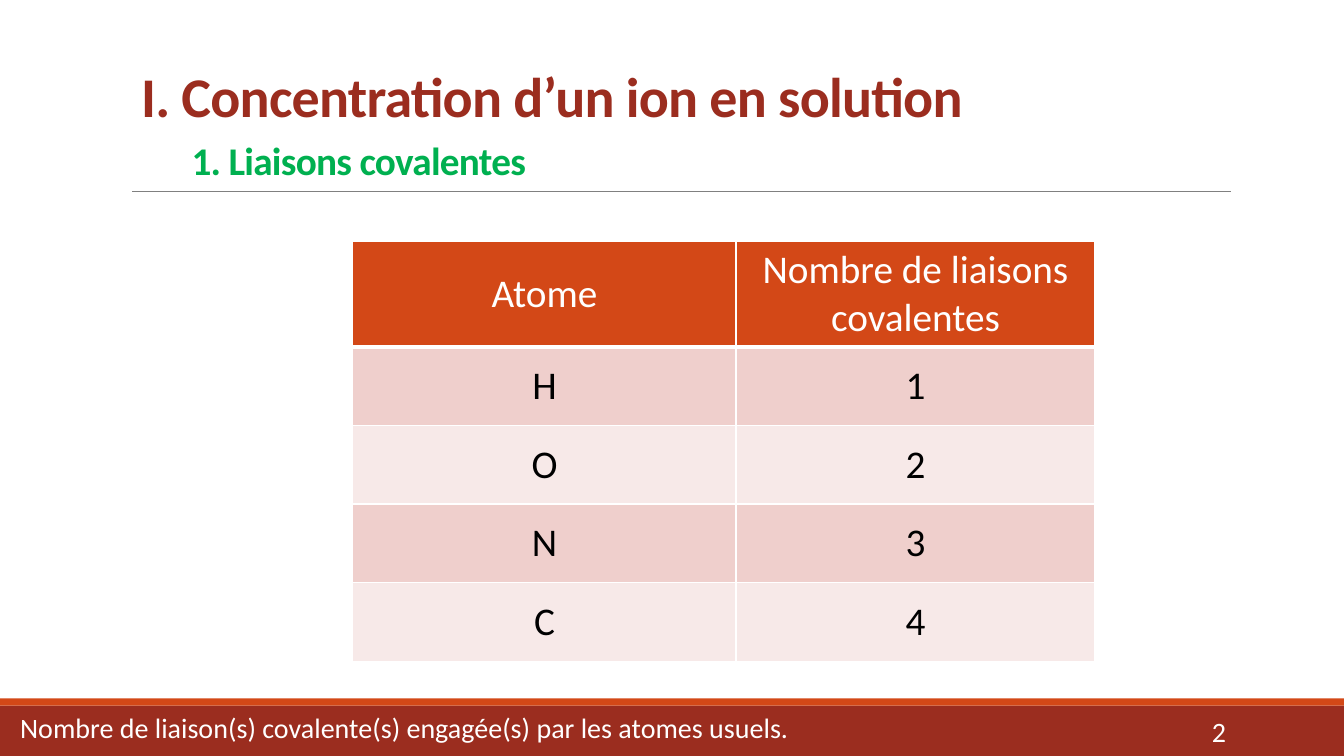
from dataclasses import dataclass

from lxml import etree
from pptx import Presentation
from pptx.dml.color import RGBColor
from pptx.enum.shapes import MSO_CONNECTOR, MSO_SHAPE
from pptx.enum.text import MSO_ANCHOR, MSO_AUTO_SIZE, PP_ALIGN
from pptx.oxml.ns import qn
from pptx.util import Inches, Pt

RECTANGLE = MSO_SHAPE.RECTANGLE
STRAIGHT = MSO_CONNECTOR.STRAIGHT
TOP, MIDDLE, BOTTOM = MSO_ANCHOR.TOP, MSO_ANCHOR.MIDDLE, MSO_ANCHOR.BOTTOM
LEFT, CENTER, RIGHT = PP_ALIGN.LEFT, PP_ALIGN.CENTER, PP_ALIGN.RIGHT
NO_AUTOFIT = MSO_AUTO_SIZE.NONE

FONT = "Calibri"
COLORS = {
    "brick": "9B2D1F",
    "orange": "D34817",
    "green": "00B050",
    "gray": "808080",
    "white": "FFFFFF",
    "black": "000000",
    "band_dark": "EFCFCC",
    "band_light": "F7E9E8",
}
PAGE_WIDTH, PAGE_HEIGHT = 13.33, 7.5
COLUMN_WIDTHS = (3.8, 3.56)
HEADER_HEIGHT, ROW_HEIGHT = 1.05, 0.78
ROWS = (
    ("Atome", "Nombre de liaisons covalentes"),
    ("H", "1"),
    ("O", "2"),
    ("N", "3"),
    ("C", "4"),
)


@dataclass(frozen=True)
class Area:
    left: float
    top: float
    width: float
    height: float

    def lengths(self) -> tuple:
        return tuple(Inches(n) for n in (self.left, self.top, self.width, self.height))


@dataclass(frozen=True)
class Band:
    area: Area
    color: str


@dataclass(frozen=True)
class Style:
    size: float
    color: str
    bold: bool = False
    spacing: int = 0


FOOTER_BANDS = (
    Band(Area(0, 7, PAGE_WIDTH, 0.5), "brick"),
    Band(Area(0, 6.93, PAGE_WIDTH, 0.07), "orange"),
)


def rgb(name: str) -> RGBColor:
    return RGBColor.from_string(COLORS[name])


def add_span(para, text: str, style: Style) -> None:
    span = para.add_run()
    span.text = text
    span.font.name = FONT
    span.font.size = Pt(style.size)
    span.font.bold = style.bold
    span.font.color.rgb = rgb(style.color)
    if style.spacing:
        span.font._element.set("spc", str(style.spacing))


def prepare_text(box, area: Area, anchor, align):
    """Place a text shape and return its first paragraph."""
    box.left, box.top, box.width, box.height = area.lengths()
    frame = box.text_frame
    frame.word_wrap = True
    frame.auto_size = NO_AUTOFIT
    frame.vertical_anchor = anchor
    para = frame.paragraphs[0]
    para.alignment = align
    return para


def add_band(page, band: Band) -> None:
    shape = page.shapes.add_shape(RECTANGLE, *band.area.lengths())
    shape.shadow.inherit = False
    shape.fill.solid()
    shape.fill.fore_color.rgb = rgb(band.color)
    shape.line.fill.background()


def add_rule(page) -> None:
    rule = page.shapes.add_connector(
        STRAIGHT, Inches(1.31), Inches(1.9), Inches(12.21), Inches(1.9))
    rule.line.color.rgb = rgb("gray")
    rule.line.width = Pt(0.5)
    etree.SubElement(rule._element.spPr, qn("a:effectLst"))


def set_borders(cell, bottom_width: float) -> None:
    properties = cell._tc.get_or_add_tcPr()
    widths = {"a:lnL": 1, "a:lnR": 1, "a:lnT": 1, "a:lnB": bottom_width}
    for tag, width in widths.items():
        line = etree.SubElement(properties, qn(tag), w=str(Pt(width)))
        fill = etree.SubElement(line, qn("a:solidFill"))
        etree.SubElement(fill, qn("a:srgbClr"), val=COLORS["white"])


def add_bond_table(page) -> None:
    area = Area(3.5, 2.39, sum(COLUMN_WIDTHS),
                HEADER_HEIGHT + ROW_HEIGHT * (len(ROWS) - 1))
    table = page.shapes.add_table(
        len(ROWS), len(COLUMN_WIDTHS), *area.lengths()).table
    table.horz_banding = False
    for column, width in zip(table.columns, COLUMN_WIDTHS):
        column.width = Inches(width)
    for index, texts in enumerate(ROWS):
        header = index == 0
        table.rows[index].height = Inches(HEADER_HEIGHT if header else ROW_HEIGHT)
        band = "band_dark" if index % 2 else "band_light"
        style = Style(28, "white" if header else "black")
        for cell, text in zip(table.rows[index].cells, texts):
            set_borders(cell, 3 if header else 1)
            cell.fill.solid()
            cell.fill.fore_color.rgb = rgb("orange" if header else band)
            cell.vertical_anchor = MIDDLE
            para = cell.text_frame.paragraphs[0]
            para.alignment = CENTER
            add_span(para, text, style)


def fill_title(box) -> None:
    para = prepare_text(box, Area(1.3, 0.31, 11.76, 1.59), BOTTOM, LEFT)
    para.line_spacing = 0.85
    heading = Style(40, "brick", True, -50)
    add_span(para, "I. Concentration d’un ion en solution", heading)
    para.add_line_break()
    add_span(para, "\t", heading)
    add_span(para, "1. Liaisons covalentes", Style(28, "green", True, -50))


def fill_caption(box) -> None:
    para = prepare_text(box, Area(0, 7.04, PAGE_WIDTH, 0.46), TOP, LEFT)
    para.line_spacing = 0.9
    para.space_before = Pt(0)
    properties = para._p.get_or_add_pPr()
    properties.set("marL", str(Inches(0.1)))
    properties.set("indent", "0")
    etree.SubElement(properties, qn("a:buNone"))
    add_span(para, "Nombre de liaison(s) covalente(s) engagée(s) par les atomes usuels.",
             Style(20, "white"))


def add_page_number(page) -> None:
    area = Area(10.83, 7.06, 1.43, 0.4)
    box = page.shapes.add_textbox(*area.lengths())
    add_span(prepare_text(box, area, MIDDLE, RIGHT), "2", Style(20, "white"))


def main() -> None:
    deck = Presentation()
    deck.slide_width, deck.slide_height = Inches(PAGE_WIDTH), Inches(PAGE_HEIGHT)
    page = deck.slides.add_slide(deck.slide_layouts[1])
    title, caption = page.placeholders

    # Footer bands and title rule
    for band in FOOTER_BANDS:
        add_band(page, band)
    add_rule(page)

    # Table and page number
    add_bond_table(page)
    add_page_number(page)

    # Title and caption, brought in front of the bands
    fill_title(title)
    fill_caption(caption)
    for box in (title, caption):
        box.element.getparent().append(box.element)

    deck.save("out.pptx")


if __name__ == "__main__":
    main()
